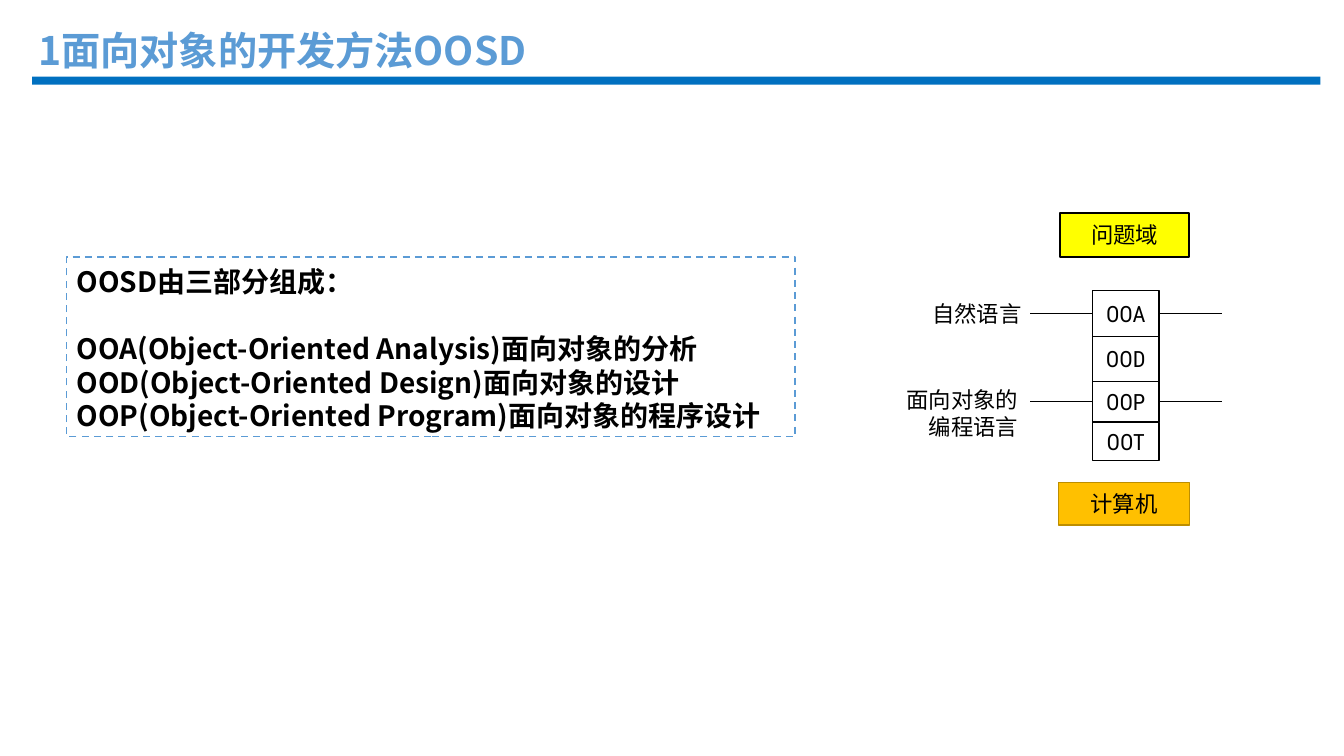
from itertools import accumulate
from lxml.etree import SubElement
from pptx import Presentation
from pptx.dml.color import RGBColor
from pptx.enum.dml import MSO_LINE
from pptx.enum.shapes import MSO_CONNECTOR, MSO_SHAPE
from pptx.enum.text import MSO_ANCHOR as Anchor, MSO_AUTO_SIZE as Auto, PP_ALIGN as Align
from pptx.oxml.ns import qn
from pptx.util import Pt

BLACK = RGBColor(0, 0, 0)
WHITE = RGBColor(255, 255, 255)
BLUE = RGBColor(0x5B, 0x9B, 0xD5)
NAVY = RGBColor(0, 0x70, 0xC0)
YELLOW = RGBColor(255, 255, 0)
AMBER = RGBColor(0xFF, 0xC0, 0)
BROWN = RGBColor(0xBD, 0x8E, 0)
BOLD_FONT = "Noto Sans CJK SC"
FONT = "Noto Sans CJK JP"
CODE_FONT = "Roboto Condensed"


def place(shape, left, top, width, height):
    """Move a shape to a box given in points."""
    shape.left, shape.top = Pt(left), Pt(top)
    shape.width, shape.height = Pt(width), Pt(height)


def write(shape, text, size=16, font=FONT, color=BLACK, bold=False,
          align=Align.CENTER, anchor=Anchor.MIDDLE, wrap=False, pitch=None):
    """Fill a shape with one formatted paragraph per line of text."""
    frame = shape.text_frame
    frame.text = text
    frame.auto_size = Auto.NONE
    frame.word_wrap = wrap
    frame.vertical_anchor = anchor
    frame.margin_left = frame.margin_right = Pt(7.2)
    frame.margin_top = frame.margin_bottom = Pt(3.6)
    for para in frame.paragraphs:
        para.alignment = align
        para.space_before = Pt(0)
        if pitch:
            para.line_spacing = Pt(pitch)
        for run in para.runs:
            run.font.size, run.font.bold = Pt(size), bold
            run.font.name = font
            run.font.color.rgb = color
            SubElement(run.font._element, qn("a:ea"), typeface=font)
    return frame


def block(slide, box, fill, line=None, weight=1):
    """Draw a filled rectangle with an optional outline."""
    shape = slide.shapes.add_shape(MSO_SHAPE.RECTANGLE, *map(Pt, box))
    shape.shadow.inherit = False
    shape.fill.solid()
    shape.fill.fore_color.rgb = fill
    if line is None:
        shape.line.fill.background()
    else:
        shape.line.color.rgb = line
        shape.line.width = Pt(weight)
    return shape


def rule(slide, left, right, y):
    """Draw a thin level line."""
    line = slide.shapes.add_connector(
        MSO_CONNECTOR.STRAIGHT, Pt(left), Pt(y), Pt(right), Pt(y))
    line.line.color.rgb = BLACK
    line.line.width = Pt(1)
    SubElement(line._element.spPr, qn("a:effectLst"))


def header(slide, left, top, width, height):
    """Place the title and the bar below it."""
    block(slide, (left + 2.8, top + 39.6, width - 2.8, 5.8), NAVY)
    title = slide.shapes.title
    place(title, left, top, 380, height)
    write(title, "1面向对象的开发方法OOSD", size=28, font=BOLD_FONT,
          color=BLUE, bold=True, align=Align.LEFT)


def parts(slide, left, top, width, height):
    """Place the dashed list of the three parts."""
    body = slide.placeholders[1]
    place(body, left, top, width, height)
    body.line.color.rgb = BLUE
    body.line.width = Pt(1.25)
    body.line.dash_style = MSO_LINE.DASH
    frame = write(body, "OOSD由三部分组成：\n"
                  "OOA(Object-Oriented Analysis)面向对象的分析\n"
                  "OOD(Object-Oriented Design)面向对象的设计\n"
                  "OOP(Object-Oriented Program)面向对象的程序设计",
                  size=20, font=BOLD_FONT, bold=True, align=Align.LEFT,
                  anchor=Anchor.TOP, wrap=True, pitch=24)
    frame.margin_top = Pt(5.2)
    for para in frame.paragraphs:
        props = para._p.get_or_add_pPr()
        props.set("marL", "0")
        props.set("indent", "0")
        SubElement(props, qn("a:buNone"))
    frame.paragraphs[1].space_before = Pt(24)


def layers(slide, left, top, width, height):
    """Draw the stack of layers between problem and computer."""
    names = ("OOA", "OOD", "OOP", "OOT")
    sizes = (33, 32, 29.2, 27.4)
    tops = list(accumulate(sizes[:-1], initial=top + 55.4))
    mids = [y + size / 2 for y, size in zip(tops, sizes)]
    for mid in (mids[0], mids[2]):
        rule(slide, left + 96.8, left + width, mid)
    for name, y, size in zip(names, tops, sizes):
        cell = block(slide, (left + 141.4, y, 47.5, size), WHITE, BLACK)
        write(cell, name, font=CODE_FONT)
    ends = (("问题域", (left + 118.4, top, 92.2, 31.7), YELLOW, BLACK, 1.5),
            ("计算机", (left + 117, top + height - 30.2, 93.6, 30.2), AMBER, BROWN, 1))
    for text, box, fill, line, weight in ends:
        write(block(slide, box, fill, line, weight), text)
    labels = (("自然语言", (left + 19.8, mids[0] - 13.2, 79.2, 26.6), Align.LEFT, None),
              ("面向对象的\n编程语言", (left, mids[2] - 14.8, 95.4, 46), Align.RIGHT, 19.2))
    for text, box, align, pitch in labels:
        label = slide.shapes.add_textbox(*map(Pt, box))
        write(label, text, align=align, anchor=Anchor.TOP if pitch else Anchor.MIDDLE,
              pitch=pitch)


def main():
    """Build and save the slide."""
    deck = Presentation()
    deck.slide_width, deck.slide_height = Pt(960), Pt(540)
    slide = deck.slides.add_slide(deck.slide_layouts[1])
    header(slide, 20.2, 15.1, 923, 41)
    parts(slide, 47.5, 183.6, 520.6, 128.2)
    layers(slide, 639, 152, 233.6, 223)
    deck.save("out.pptx")


if __name__ == "__main__":
    main()
